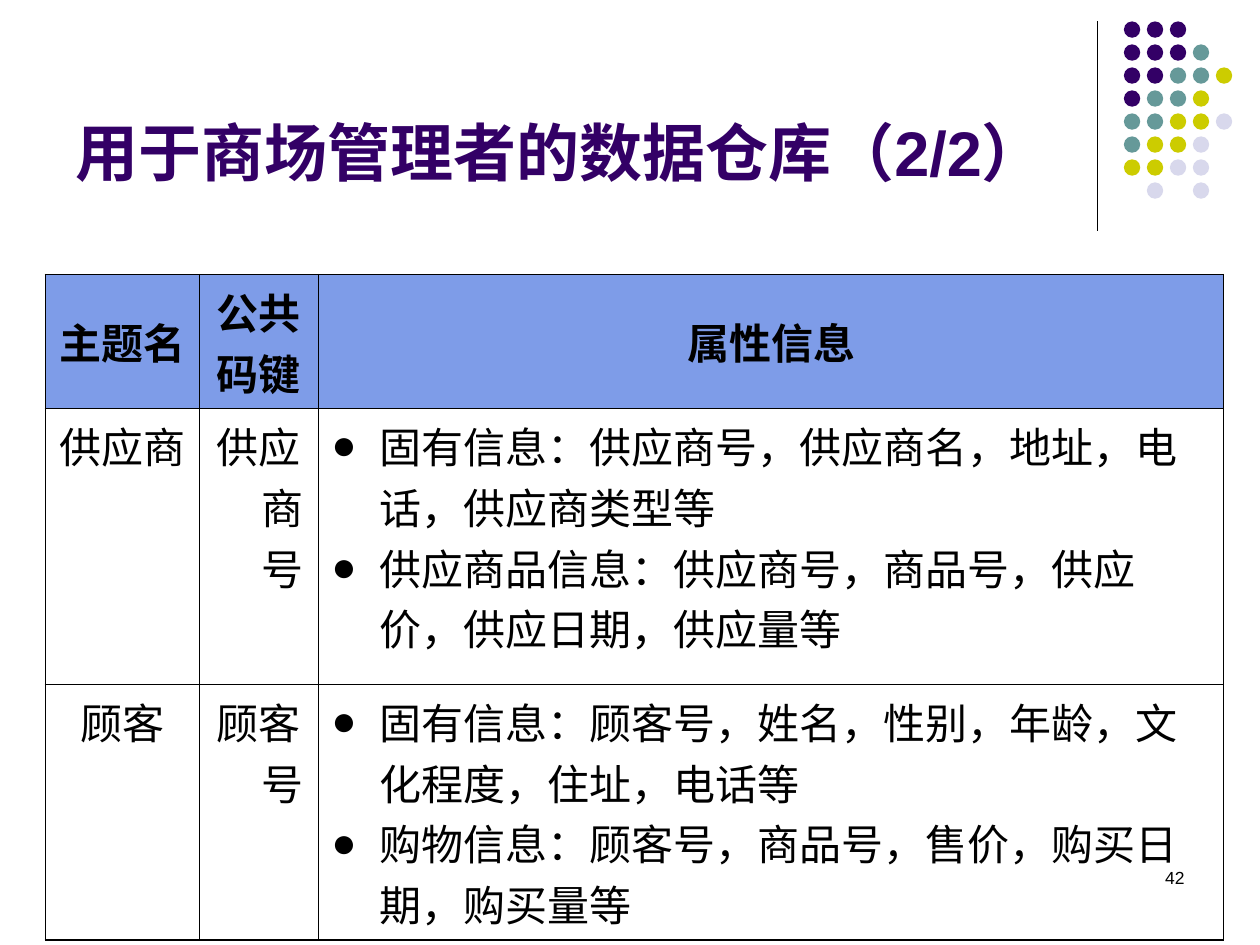
import pptx
import pptx.dml.color
import pptx.enum.shapes
import pptx.enum.text
import pptx.oxml
import pptx.oxml.ns
import pptx.util
from pptx.util import Inches

ALIGN = pptx.enum.text.PP_ALIGN
ANCHOR = pptx.enum.text.MSO_ANCHOR
INDENT = Inches(0.38)
DOT_PITCH = 0.73 / 4
DOT_COLORS = {"p": "330066", "t": "669999", "y": "CCCC00", "l": "D8D8EC"}
DOT_ROWS = ["ppp", "pppt", "pptty", "ptty", "ttyyl", "tyyl", "yyll", " l l"]
COLUMN_WIDTHS = [1.22, 0.95, 7.18]
ROW_HEIGHTS = [1.06, 2.19, 2.03]
TABLE_ROWS = [
    [["主题名"], ["公共", "码键"], ["属性信息"]],
    [["供应商"], ["供应商号"],
     ["固有信息：供应商号，供应商名，地址，电话，供应商类型等",
      "供应商品信息：供应商号，商品号，供应价，供应日期，供应量等"]],
    [["顾客"], ["顾客号"],
     ["固有信息：顾客号，姓名，性别，年龄，文化程度，住址，电话等",
      "购物信息：顾客号，商品号，售价，购买日期，购买量等"]],
]


def color(value):
    return pptx.dml.color.RGBColor.from_string(value)


def add_xml(parent, body):
    start, rest = body.split(" ", 1)
    parent.append(pptx.oxml.parse_xml(f"<{start} {pptx.oxml.ns.nsdecls('a')} {rest}"))


def write(frame, lines, size=24, font="Arial", ink="000000", bold=False,
          align=ALIGN.LEFT, hanging=False, bullet=False):
    for index, text in enumerate(lines):
        para = frame.add_paragraph() if index else frame.paragraphs[0]
        para.alignment = align
        properties = para._p.get_or_add_pPr()
        if hanging:
            properties.set("marL", str(INDENT))
            properties.set("indent", str(-INDENT))
            properties.set("hangingPunct", "0")
        if bullet:
            add_xml(properties, f'a:buClr ><a:srgbClr val="{ink}"/></a:buClr>')
            add_xml(properties, 'a:buFont typeface="Arial"/>')
            add_xml(properties, 'a:buChar char="●"/>')
        span = para.add_run()
        span.text = text
        span.font.size = pptx.util.Pt(size)
        span.font.name = font
        span.font.bold = bold
        span.font.color.rgb = color(ink)


class Painter:
    """Draw the elements of the current page in one style."""

    def __init__(self, page):
        self.page = page
        self.black = "000000"
        self.header = "7E9CE8"

    def line(self, x1, y1, x2, y2):
        rule = self.page.shapes.add_connector(
            pptx.enum.shapes.MSO_CONNECTOR.STRAIGHT,
            Inches(x1), Inches(y1), Inches(x2), Inches(y2))
        rule.line.color.rgb = color(self.black)
        rule.line.width = pptx.util.Pt(0.75)
        add_xml(rule._element.spPr, "a:effectLst />")

    def dot(self, left, top, fill):
        dot = self.page.shapes.add_shape(
            pptx.enum.shapes.MSO_SHAPE.OVAL,
            Inches(left), Inches(top), Inches(0.13), Inches(0.13))
        dot.shadow.inherit = False
        dot.fill.solid()
        dot.fill.fore_color.rgb = color(fill)
        dot.line.fill.background()

    def text(self, left, top, width, height, text, anchor=ANCHOR.TOP, **style):
        box = self.page.shapes.add_textbox(
            Inches(left), Inches(top), Inches(width), Inches(height))
        box.text_frame.word_wrap = True
        box.text_frame.vertical_anchor = anchor
        write(box.text_frame, [text], **style)

    def borders(self, cell, row, column):
        outer = {"L": column == 0, "R": column == len(COLUMN_WIDTHS) - 1,
                 "T": row == 0, "B": row == len(ROW_HEIGHTS) - 1}
        for side, is_outer in outer.items():
            width = pptx.util.Pt(0.96 if is_outer else 0.45)
            add_xml(cell._tc.get_or_add_tcPr(),
                    f'a:ln{side} w="{width}"><a:solidFill><a:srgbClr val="{self.black}"/>'
                    f"</a:solidFill></a:ln{side}>")

    def cell(self, cell, row, column, lines):
        heading = row == 0
        bullet = column == 2 and not heading
        self.borders(cell, row, column)
        if heading:
            cell.fill.solid()
            cell.fill.fore_color.rgb = color(self.header)
        else:
            cell.fill.background()
        cell.vertical_anchor = ANCHOR.MIDDLE if heading else ANCHOR.TOP
        write(cell.text_frame, lines, font="Times New Roman", bold=heading,
              align=ALIGN.LEFT if bullet else ALIGN.CENTER, hanging=True, bullet=bullet)

    def table(self, left, top, rows):
        table = self.page.shapes.add_table(
            len(rows), len(COLUMN_WIDTHS), Inches(left), Inches(top),
            Inches(sum(COLUMN_WIDTHS)), Inches(sum(ROW_HEIGHTS))).table
        for column, width in zip(table.columns, COLUMN_WIDTHS):
            column.width = Inches(width)
        for row, height in zip(table.rows, ROW_HEIGHTS):
            row.height = Inches(height)
        for row, cells in enumerate(rows):
            for column, lines in enumerate(cells):
                self.cell(table.cell(row, column), row, column, lines)


def main():
    deck = pptx.Presentation()
    deck.slide_width, deck.slide_height = Inches(10), Inches(7.5)
    painter = Painter(deck.slides.add_slide(deck.slide_layouts[6]))
    painter.line(8.71, 0.17, 8.71, 1.83)
    for row, marks in enumerate(DOT_ROWS):
        for column, mark in enumerate(marks):
            if mark in DOT_COLORS:
                painter.dot(8.92 + column * DOT_PITCH, 0.17 + row * DOT_PITCH,
                            DOT_COLORS[mark])
    painter.text(7.17, 6.83, 2.33, 0.5, "42", size=10, align=ALIGN.RIGHT)
    painter.text(0.5, 0.13, 8.25, 1.42, "用于商场管理者的数据仓库（2/2）",
                 anchor=ANCHOR.BOTTOM, size=36, ink="330066", bold=True)
    painter.table(0.36, 2.18, TABLE_ROWS)
    deck.save("out.pptx")


if __name__ == "__main__":
    main()
